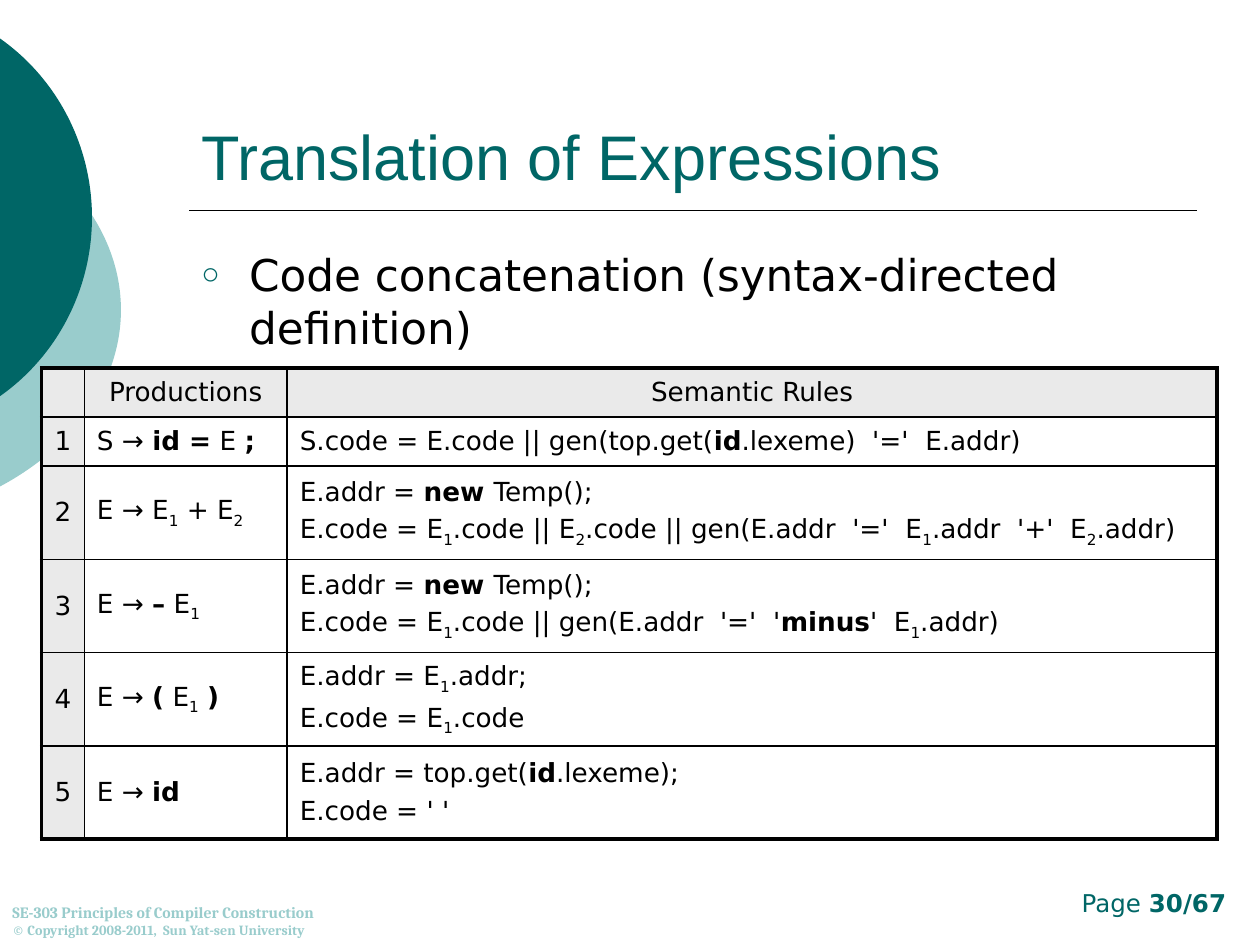
from dataclasses import dataclass
from math import acos, cos, sin, tan

from lxml.etree import SubElement as Sub
from pptx import Presentation
from pptx.dml.color import RGBColor as Rgb
from pptx.enum.shapes import MSO_CONNECTOR as Link
from pptx.enum.text import MSO_ANCHOR as Anchor, PP_ALIGN as Align
from pptx.oxml import parse_xml
from pptx.oxml.ns import nsdecls, qn
from pptx.util import Inches, Pt


@dataclass(frozen=True)
class Theme:
    """Colours, fonts and type sizes of the slide."""
    teal: str = "006666"
    pale: str = "99CCCC"
    ink: str = "000000"
    gray: str = "EAEAEA"
    white: str = "FFFFFF"
    head: str = "Arial"
    body: str = "DejaVu Sans"
    foot: str = "Cambria"
    title: int = 36
    point: int = 25
    cell: int = 15
    page: int = 14
    course: int = 9
    rights: int = 8
    thick: float = 2.25
    thin: float = 1


T = Theme()

RULES = [
    ("S → *id =* E *;*",
     ["S.code = E.code || gen(top.get(*id*.lexeme)  '='  E.addr)"]),
    ("E → E_1_ + E_2_",
     ["E.addr = *new *Temp();",
      "E.code = E_1_.code || E_2_.code || gen(E.addr  '='  E_1_.addr  '+'  E_2_.addr)"]),
    ("E → *–* E_1_",
     ["E.addr = *new *Temp();",
      "E.code = E_1_.code || gen(E.addr  '='  '*minus*'  E_1_.addr)"]),
    ("E → *(* E_1_ *)*",
     ["E.addr = E_1_.addr;", "E.code = E_1_.code"]),
    ("E → *id*",
     ["E.addr = top.get(*id*.lexeme);", "E.code = ' '"]),
]


def style(font, name, size, color, bold=False):
    """Set the face, size, colour and weight of a font."""
    font.name, font.size, font.bold = name, Pt(size), bold
    font.color.rgb = Rgb.from_string(color)


def write(para, text, name, size, color, bold=False):
    """Write marked text: stars make bold, underscores make subscript."""
    for i, part in enumerate(text.split("*")):
        for j, piece in enumerate(part.split("_")):
            if piece:
                run = para.add_run()
                run.text = piece
                style(run.font, name, size, color, bold or i % 2 == 1)
                if j % 2:
                    run.font._element.set("baseline", "-25000")


def add_box(slide, x, y, w, h, anchor=Anchor.TOP):
    """Add a wrapping text box and return its frame."""
    frame = slide.shapes.add_textbox(
        Inches(x), Inches(y), Inches(w), Inches(h)).text_frame
    frame.word_wrap = True
    frame.vertical_anchor = anchor
    return frame


def add_arc(slide, x, y, w, h, color):
    """Add the part of an ellipse that lies right of the slide's left edge."""
    a, b = w / 2, h / 2
    end = acos(-(x + a) / a)
    pull = 4 / 3 * tan(end / 4)

    def spot(turn, lean=0):
        """Give a point on the ellipse, moved along its tangent."""
        return (Inches(a + a * (cos(turn) - lean * sin(turn))),
                Inches(b + b * (sin(turn) + lean * cos(turn))))

    form = slide.shapes.build_freeform(*spot(-end))
    form.add_line_segments([spot(0), spot(end)], close=True)
    shape = form.convert_to_shape()
    shape.left, shape.top, shape.width, shape.height = map(Inches, (x, y, w, h))
    track = next(shape._element.iter(qn("a:path")))
    track.set("w", str(Inches(w)))
    track.set("h", str(Inches(h)))
    track[:] = []
    steps = [("moveTo", [spot(-end)])]
    steps += [("cubicBezTo", [spot(t, pull), spot(t + end, -pull), spot(t + end)])
              for t in (-end, 0)]
    for kind, spots in steps + [("close", [])]:
        step = Sub(track, qn(f"a:{kind}"))
        for px, py in spots:
            Sub(step, qn("a:pt"), x=str(px), y=str(py))
    shape.shadow.inherit = False
    shape.fill.solid()
    shape.fill.fore_color.rgb = Rgb.from_string(color)
    shape.line.fill.background()


def add_rule(slide, x, y, end):
    """Add the level line under the title."""
    line = slide.shapes.add_connector(
        Link.STRAIGHT, Inches(x), Inches(y), Inches(end), Inches(y))
    line.line.color.rgb = Rgb.from_string(T.ink)
    line.line.width = Pt(T.thin)
    Sub(line._element.spPr, qn("a:effectLst"))


def add_point(slide, text):
    """Add the bulleted statement."""
    para = add_box(slide, 1.5, 1.92, 8, 4.58).paragraphs[0]
    props = para._p.get_or_add_pPr()
    props.set("marL", str(Inches(0.38)))
    props.set("indent", str(-Inches(0.38)))
    Sub(Sub(props, qn("a:buClr")), qn("a:srgbClr"), val=T.teal)
    Sub(props, qn("a:buSzPct"), val="70000")
    Sub(props, qn("a:buFont"), typeface=T.head)
    Sub(props, qn("a:buChar"), char="○")
    write(para, text, T.body, T.point, T.ink)


def frame_cell(cell, thick):
    """Draw four borders, heavy on the sides named in thick."""
    props = cell._tc.get_or_add_tcPr()
    for k, side in enumerate("LRTB"):
        width = Pt(T.thick if side in thick else T.thin)
        props.insert(k, parse_xml(
            f'<a:ln{side} {nsdecls("a")} w="{width}"><a:solidFill>'
            f'<a:srgbClr val="{T.ink}"/></a:solidFill></a:ln{side}>'))


def fill_cell(cell, lines, color, align):
    """Fill one cell with paragraphs of marked text."""
    cell.fill.solid()
    cell.fill.fore_color.rgb = Rgb.from_string(color)
    cell.vertical_anchor = Anchor.MIDDLE
    cell.text_frame.text = "\n".join(lines)
    for k, para in enumerate(cell.text_frame.paragraphs):
        text = para.text
        para.text = ""
        para.alignment = align
        para.font.size = Pt(T.cell)
        if k:
            para.space_before = Pt(4)
        write(para, text, T.body, T.cell, T.ink)


def add_rules(slide):
    """Add the table of productions and semantic rules."""
    rows = [([""], ["Productions"], ["Semantic Rules"])]
    rows += [([str(k)], [left], right) for k, (left, right) in enumerate(RULES, 1)]
    wide, high = [0.34, 1.61, 7.38], [0.39] * 2 + [0.74] * 4
    table = slide.shapes.add_table(
        len(rows), len(wide), Inches(0.33), Inches(2.92),
        Inches(sum(wide)), Inches(sum(high))).table
    table.first_row = table.horz_banding = False
    for col, w in zip(table.columns, wide):
        col.width = Inches(w)
    for r, (row, h) in enumerate(zip(rows, high)):
        table.rows[r].height = Inches(h)
        for c, lines in enumerate(row):
            cell, label = table.cell(r, c), r == 0 or c == 0
            fill_cell(cell, lines, T.gray if label else T.white,
                      Align.CENTER if label else Align.LEFT)
            edges = {"L": c == 0, "R": c == len(wide) - 1,
                     "T": r == 0, "B": r == len(rows) - 1}
            frame_cell(cell, [side for side, on in edges.items() if on])


def add_foot(slide):
    """Add the course credit at the foot."""
    frame = add_box(slide, 0, 7, 3.42, 0.5, Anchor.BOTTOM)
    write(frame.paragraphs[0], "SE-303 Principles of Compiler Construction",
          T.foot, T.course, T.pale, True)
    write(frame.add_paragraph(), "© Copyright 2008-2011,  Sun Yat-sen University",
          T.foot, T.rights, T.pale, True)


def main():
    """Build and save the slide."""
    deck = Presentation()
    deck.slide_width, deck.slide_height = Inches(10), Inches(7.5)
    slide = deck.slides.add_slide(deck.slide_layouts[6])
    add_arc(slide, -3.54, 0.75, 4.5, 3.42, T.pale)
    add_arc(slide, -2.65, 0, 3.38, 3.45, T.teal)
    add_rule(slide, 1.5, 1.67, 9.5)
    page = add_box(slide, 7.58, 7, 2.25, 0.33).paragraphs[0]
    page.alignment = Align.RIGHT
    write(page, "Page *30/67*", T.body, T.page, T.teal)
    title = add_box(slide, 1.5, 0.33, 8, 1.25, Anchor.BOTTOM).paragraphs[0]
    write(title, "Translation of Expressions", T.head, T.title, T.teal)
    add_point(slide, "Code concatenation (syntax-directed definition)")
    add_rules(slide)
    add_foot(slide)
    deck.save("out.pptx")


if __name__ == "__main__":
    main()
